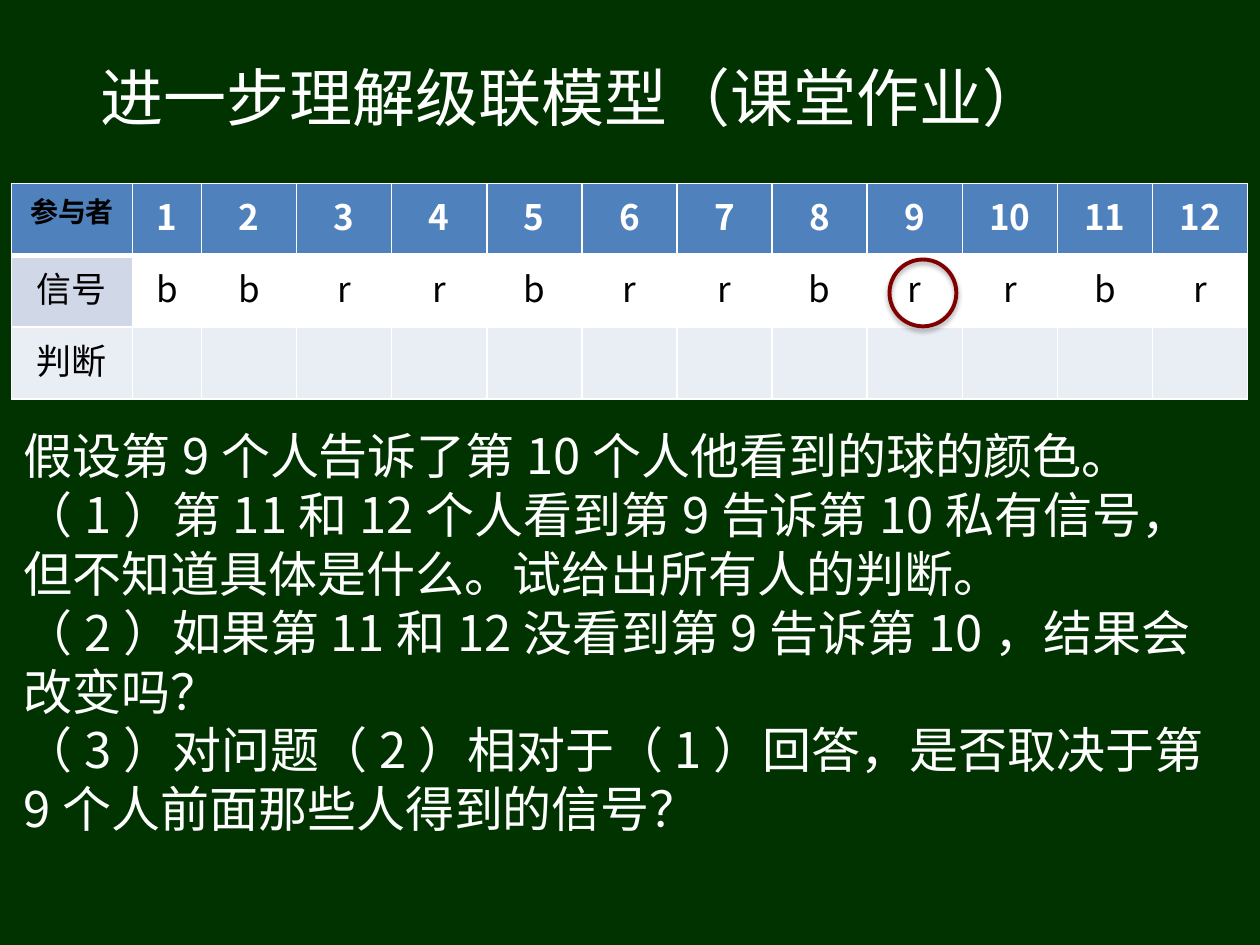
from lxml import etree
from pptx import Presentation
from pptx.dml.color import RGBColor
from pptx.enum.shapes import MSO_SHAPE
from pptx.enum.text import MSO_ANCHOR, PP_ALIGN
from pptx.oxml import parse_xml
from pptx.oxml.ns import qn
from pptx.util import Pt

OVAL = MSO_SHAPE.OVAL
MIDDLE = MSO_ANCHOR.MIDDLE
CENTER = PP_ALIGN.CENTER
FONT = "Noto Sans CJK SC"
NS = 'xmlns:a="http://schemas.openxmlformats.org/drawingml/2006/main"'
COLORS = {
    "background": "003300",
    "white": "FFFFFF",
    "black": "000000",
    "header": "4F81BD",
    "label": "D0D8E8",
    "band": "E9EDF4",
    "ring": "800000",
}


def style_text(frame, size, color, bold=False):
    for paragraph in frame.paragraphs:
        for span in paragraph.runs:
            span.font.size = Pt(size)
            span.font.bold = bold
            span.font.name = FONT
            span.font.color.rgb = RGBColor.from_string(COLORS[color])
            east_asian = etree.SubElement(span.font._element, qn("a:ea"))
            east_asian.set("typeface", FONT)


def set_borders(cell, top, bottom):
    properties = cell._tc.get_or_add_tcPr()
    widths = {"lnL": 1, "lnR": 1, "lnT": top, "lnB": bottom}
    for position, (side, width) in enumerate(widths.items()):
        properties.insert(position, parse_xml(
            f'<a:{side} {NS} w="{Pt(width)}"><a:solidFill>'
            f'<a:srgbClr val="{COLORS["white"]}"/></a:solidFill></a:{side}>'))


deck = Presentation()
deck.slide_width = Pt(720)
deck.slide_height = Pt(540)
page = deck.slides.add_slide(deck.slide_layouts[6])
page.background.fill.solid()
page.background.fill.fore_color.rgb = RGBColor.from_string(COLORS["background"])

title = page.shapes.add_textbox(Pt(50.4), Pt(10), Pt(669), Pt(90))
title.text_frame.word_wrap = True
title.text_frame.vertical_anchor = MIDDLE
title.text_frame.text = "进一步理解级联模型（课堂作业）"
style_text(title.text_frame, 36, "white")

rows = [
    ["参与者", *map(str, range(1, 13))],
    ["信号", *"bbrrbrrbrrbr"],
    ["判断", *[""] * 12],
]
row_fills = ["header", "white", "band"]
table = page.shapes.add_table(3, 13, Pt(6.5), Pt(105), Pt(706.5), Pt(123)).table
for column, width in zip(table.columns, [69.3, 39.4] + [54.35] * 11):
    column.width = Pt(width)
for row_index, values in enumerate(rows):
    table.rows[row_index].height = Pt(41)
    is_header = row_index == 0
    for column_index, value in enumerate(values):
        is_label = column_index == 0
        cell = table.cell(row_index, column_index)
        cell.text = value
        cell.text_frame.paragraphs[0].alignment = CENTER
        style_text(cell.text_frame, 16 if is_header and is_label else 20,
                   "white" if is_header and not is_label else "black", is_header)
        fill = "label" if row_index == 1 and is_label else row_fills[row_index]
        cell.fill.solid()
        cell.fill.fore_color.rgb = RGBColor.from_string(COLORS[fill])
        set_borders(cell, 3 if row_index == 1 else 1, 3 if is_header else 1)

ring = page.shapes.add_shape(OVAL, Pt(508.3), Pt(148.3), Pt(38.2), Pt(38.2))
ring.fill.background()
ring.line.color.rgb = RGBColor.from_string(COLORS["ring"])
ring.line.width = Pt(2.25)
ring.shadow.inherit = False
effects = ring._element.spPr.find(qn("a:effectLst"))
effects.append(parse_xml(
    f'<a:outerShdw {NS} blurRad="{Pt(3.1)}" dist="{Pt(1.8)}" dir="5400000" '
    f'rotWithShape="0"><a:srgbClr val="{COLORS["black"]}">'
    '<a:alpha val="35000"/></a:srgbClr></a:outerShdw>'))

questions = [
    "假设第9个人告诉了第10个人他看到的球的颜色。",
    "（1）第11和12个人看到第9告诉第10私有信号，但不知道具体是什么。试给出所有人的判断。",
    "（2）如果第11和12没看到第9告诉第10，结果会改变吗？",
    "（3）对问题（2）相对于（1）回答，是否取决于第9个人前面那些人得到的信号？",
]
body = page.shapes.add_textbox(Pt(6.5), Pt(239.8), Pt(706.5), Pt(211))
body.text_frame.word_wrap = True
body.text_frame.text = "\n".join(questions)
style_text(body.text_frame, 28, "white")

deck.save("out.pptx")
